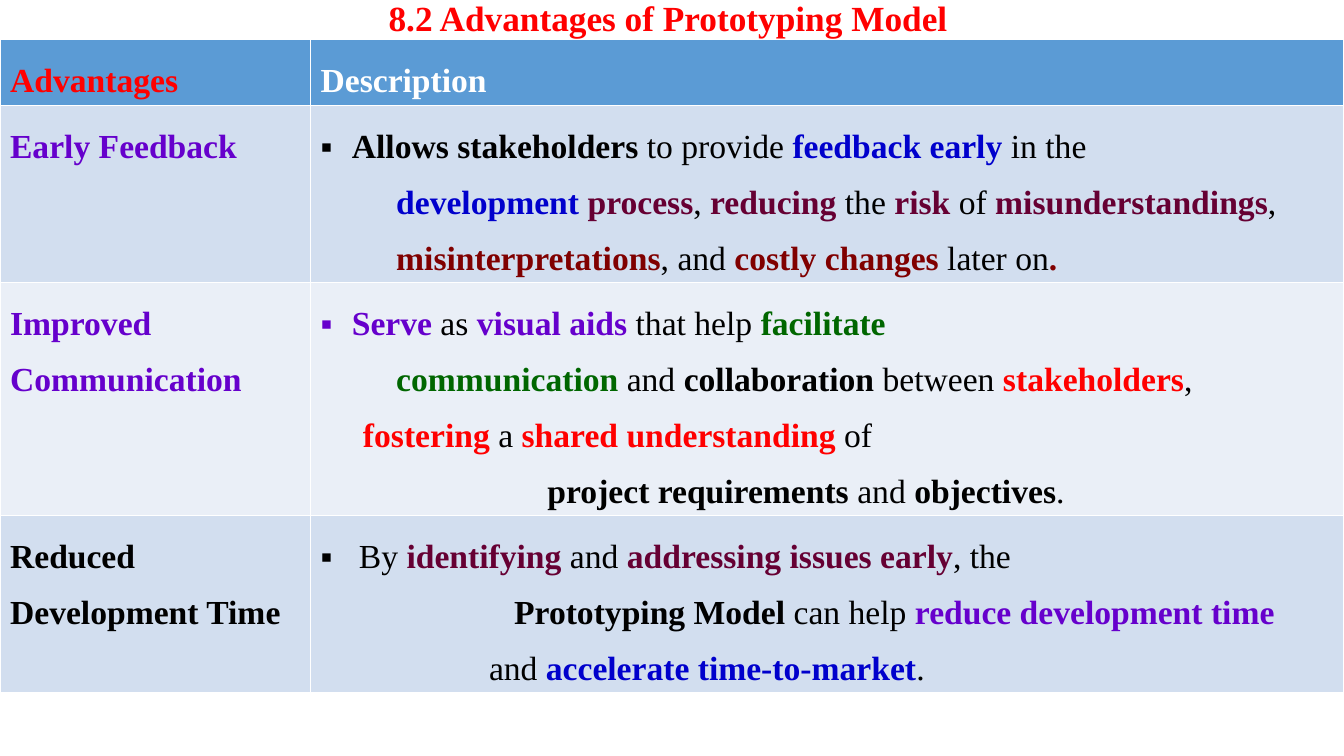
from lxml.etree import SubElement
from pptx import Presentation
from pptx.dml.color import RGBColor
from pptx.enum.text import MSO_ANCHOR, MSO_AUTO_SIZE, PP_ALIGN
from pptx.oxml.ns import qn
from pptx.util import Inches, Pt

RED = RGBColor(0xFF, 0x00, 0x00)
WHITE = RGBColor(0xFF, 0xFF, 0xFF)
BLACK = RGBColor(0x00, 0x00, 0x00)
PURPLE = RGBColor(0x66, 0x00, 0xCC)
BLUE = RGBColor(0x00, 0x00, 0xCC)
PLUM = RGBColor(0x66, 0x00, 0x33)
MAROON = RGBColor(0x80, 0x00, 0x00)
GREEN = RGBColor(0x00, 0x66, 0x00)
HEADER_FILL = RGBColor(0x5B, 0x9B, 0xD5)
BAND_FILLS = (RGBColor(0xEA, 0xEF, 0xF7), RGBColor(0xD2, 0xDE, 0xEF))
FONT = "Times New Roman"

# Content: a plain string is regular black text, a (text, colour) pair is bold.
# Each line is (indent in inches, bulleted, pieces).
TITLE = "8.2 Advantages of Prototyping Model "
HEADER = (("Advantages", RED), [(0, False, [("Description ", WHITE)])])
ADVANTAGES = [
    (("Early Feedback", PURPLE), [
        (0.31, True, [("Allows stakeholders", BLACK), " to provide ",
                      ("feedback early", BLUE), " in the "]),
        (0.75, False, [("development ", BLUE), ("process", PLUM), ", ",
                       ("reducing", PLUM), " the ", ("risk", PLUM), " of ",
                       ("misunderstandings", PLUM), ", "]),
        (0.75, False, [("misinterpretations", MAROON), ", and ",
                       ("costly changes", MAROON), " later on", (".", MAROON)]),
    ]),
    (("Improved Communication", PURPLE), [
        (0.31, True, [("Serve", PURPLE), " as ", ("visual aids", PURPLE),
                      " that help ", ("facilitate ", GREEN)]),
        (0.75, False, [("communication", GREEN), " and ", ("collaboration", BLACK),
                       " between ", ("stakeholders", RED), ", "]),
        (0.42, False, [("fostering", RED), " a ",
                       ("shared understanding", RED), " of "]),
        (2.25, False, [("project requirements", BLACK), " and ",
                       ("objectives", BLACK), "."]),
    ]),
    (("Reduced Development Time", BLACK), [
        (0.38, True, ["By ", ("identifying", PLUM), " and ",
                      ("addressing issues early", PLUM), ", the "]),
        (1.92, False, [("Prototyping Model", BLACK), " can help ",
                       ("reduce development time ", PURPLE)]),
        (1.67, False, ["and ", ("accelerate time-to-market", BLUE), "."]),
    ]),
]
COLUMN_WIDTHS = (3.08, 10.25)
ROW_HEIGHTS = (0.64, 1.75, 2.31, 1.75)
TABLE_TOP = 0.39


def write_line(paragraph, indent, bulleted, pieces):
    properties = paragraph._p.get_or_add_pPr()
    properties.set("marL", str(Inches(indent)))
    properties.set("indent", str(-Inches(indent) if bulleted else 0))
    if bulleted:
        SubElement(properties, qn("a:buFont"), typeface="Wingdings")
        SubElement(properties, qn("a:buChar"), char="▪")
        properties[0].set("typeface", FONT)
    paragraph.alignment = PP_ALIGN.JUSTIFY
    paragraph.line_spacing = 1.5
    paragraph.font.name = FONT
    paragraph.font.size = Pt(24)
    for piece in pieces:
        words, colour = (piece, BLACK) if isinstance(piece, str) else piece
        run = paragraph.add_run()
        run.text = words
        run.font.bold = not isinstance(piece, str)
        run.font.color.rgb = colour


def fill_cell(cell, lines, colour):
    cell.fill.solid()
    cell.fill.fore_color.rgb = colour
    frame = cell.text_frame
    for number, line in enumerate(lines):
        write_line(frame.add_paragraph() if number else frame.paragraphs[0], *line)


deck = Presentation()
deck.slide_width, deck.slide_height = Inches(13.33), Inches(7.5)
slide = deck.slides.add_slide(deck.slide_layouts[5])

# Title
title = slide.shapes.title
title.left, title.top = Inches(0.92), 0
title.width, title.height = Inches(11.5), Inches(TABLE_TOP)
title.text_frame.auto_size = MSO_AUTO_SIZE.NONE
title.text_frame.vertical_anchor = MSO_ANCHOR.MIDDLE
title.text_frame.text = TITLE
heading = title.text_frame.paragraphs[0]
heading.alignment = PP_ALIGN.CENTER
heading.line_spacing = 0.9
heading.font.name, heading.font.size = FONT, Pt(25.2)
heading.font.bold = True
heading.font.color.rgb = RED

# Table of advantages
rows = [HEADER, *ADVANTAGES]
table = slide.shapes.add_table(
    len(rows), len(COLUMN_WIDTHS), 0, Inches(TABLE_TOP),
    Inches(sum(COLUMN_WIDTHS)), Inches(sum(ROW_HEIGHTS))).table
for column, width in zip(table.columns, COLUMN_WIDTHS):
    column.width = Inches(width)
for number, (advantage, description) in enumerate(rows):
    table.rows[number].height = Inches(ROW_HEIGHTS[number])
    colour = BAND_FILLS[number % 2] if number else HEADER_FILL
    fill_cell(table.cell(number, 0), [(0, False, [advantage])], colour)
    fill_cell(table.cell(number, 1), description, colour)

deck.save("out.pptx")
